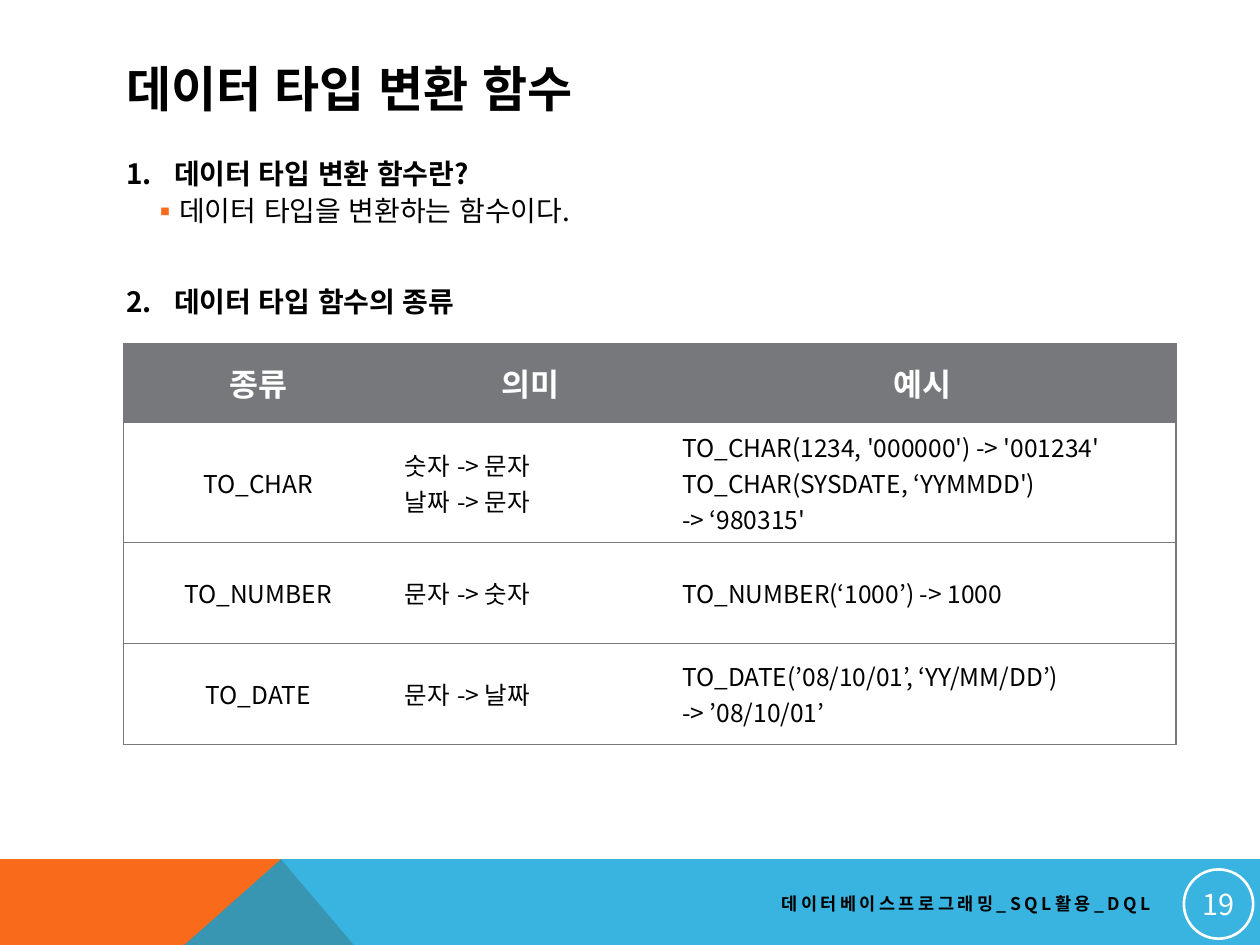
"""Build a slide about data type conversion functions."""
import dataclasses

import lxml.etree
import pptx
import pptx.dml.color
import pptx.enum.lang
import pptx.enum.shapes
import pptx.enum.text
import pptx.oxml.ns
import pptx.util

Pt = pptx.util.Pt
ALIGN = pptx.enum.text.PP_ALIGN
MIDDLE = pptx.enum.text.MSO_ANCHOR.MIDDLE


@dataclasses.dataclass(frozen=True)
class Theme:
    """Colours, font and type sizes of the slide."""
    font: str = "Noto Sans CJK KR"
    ink: str = "000000"
    paper: str = "FFFFFF"
    grey: str = "76787B"
    orange: str = "F96A1B"
    blue: str = "08A1D9"
    title: float = 28
    body: float = 16
    header: float = 18
    cell: float = 14
    footer: float = 10
    number: float = 16.5


THEME = Theme()


def rgb(code):
    """Return a colour from its hexadecimal code."""
    return pptx.dml.color.RGBColor.from_string(code)


def add_child(parent, tag, **attributes):
    """Append a drawing element to a parent and return it."""
    child = lxml.etree.SubElement(parent, pptx.oxml.ns.qn(tag))
    for name, value in attributes.items():
        child.set(name, str(value))
    return child


def write(para, text, size, color=THEME.ink, bold=False, align=ALIGN.LEFT,
          before=0, line=1.0, tracking=0):
    """Write formatted text into a paragraph."""
    para.alignment = align
    para.space_before = Pt(before)
    para.line_spacing = line
    span = para.add_run()
    span.text = text
    span.font.size = Pt(size)
    span.font.bold = bold
    span.font.name = THEME.font
    span.font.language_id = pptx.enum.lang.MSO_LANGUAGE_ID.KOREAN
    span.font.color.rgb = rgb(color)
    properties = span.font._element
    add_child(properties, "a:ea", typeface=THEME.font)
    if tracking:
        properties.set("spc", str(tracking * 100))


def add_box(page, left, top, width, height, anchor=MIDDLE):
    """Add a wrapping text box and return its text frame."""
    box = page.shapes.add_textbox(Pt(left), Pt(top), Pt(width), Pt(height))
    frame = box.text_frame
    frame.word_wrap = True
    frame.vertical_anchor = anchor
    return frame


def add_title(page, left, top, width, height):
    """Place the slide title."""
    frame = add_box(page, left, top, width, height)
    write(frame.paragraphs[0], "데이터 타입 변환 함수", THEME.title, bold=True)


def set_bullet(para, margin, hang, number=None):
    """Give a paragraph a number or a square bullet."""
    properties = para._p.get_or_add_pPr()
    properties.set("marL", str(Pt(margin)))
    properties.set("indent", str(-Pt(hang)))
    if number:
        add_child(properties, "a:buFont", typeface="+mj-lt")
        add_child(properties, "a:buAutoNum", type="arabicPeriod", startAt=number)
    else:
        color = add_child(properties, "a:buClr")
        add_child(color, "a:srgbClr", val=THEME.orange)
        add_child(properties, "a:buFont", typeface=THEME.font)
        add_child(properties, "a:buChar", char="▪")


def add_outline(page, left, top, width, height):
    """Place the numbered headings and their explanation."""
    frame = add_box(page, left, top, width, height, pptx.enum.text.MSO_ANCHOR.TOP)
    frame.margin_top = Pt(5)
    lines = [("데이터 타입 변환 함수란?", 1, 0),
             ("데이터 타입을 변환하는 함수이다.", None, 4),
             ("데이터 타입 함수의 종류", 2, 35)]
    for index, (text, number, before) in enumerate(lines):
        para = frame.add_paragraph() if index else frame.paragraphs[0]
        write(para, text, THEME.body, bold=bool(number), before=before, line=0.9)
        set_bullet(para, 27.4, 27.4 if number else 13, number)


def set_borders(cell, sides):
    """Draw grey lines on the given sides of a cell."""
    properties = cell._tc.get_or_add_tcPr()
    for side in "LRTB":
        line = add_child(properties, f"a:ln{side}", w=Pt(0.75))
        if side in sides:
            fill = add_child(line, "a:solidFill")
            add_child(fill, "a:srgbClr", val=THEME.grey)
        else:
            add_child(line, "a:noFill")


def add_function_table(page, left, top, widths, heights):
    """Place the table of conversion functions."""
    rows = [("종류", "의미", "예시"),
            ("TO_CHAR", "숫자 -> 문자\n날짜 -> 문자",
             "TO_CHAR(1234, '000000') -> '001234'\n"
             "TO_CHAR(SYSDATE, ‘YYMMDD') \n-> ‘980315'"),
            ("TO_NUMBER", "문자 -> 숫자", "TO_NUMBER(‘1000’) -> 1000"),
            ("TO_DATE", "문자 -> 날짜",
             "TO_DATE(’08/10/01’, ‘YY/MM/DD’) \n-> ’08/10/01’")]
    frame = page.shapes.add_table(len(rows), len(widths), Pt(left), Pt(top),
                                  Pt(sum(widths)), Pt(sum(heights)))
    table = frame.table
    table.horz_banding = False
    for column, width in zip(table.columns, widths):
        column.width = Pt(width)
    for row, height in zip(table.rows, heights):
        row.height = Pt(height)
    last = len(widths) - 1
    for row_index, texts in enumerate(rows):
        header = row_index == 0
        for column_index, text in enumerate(texts):
            cell = table.cell(row_index, column_index)
            cell.vertical_anchor = MIDDLE
            set_borders(cell, "TB" + {0: "L", last: "R"}.get(column_index, ""))
            cell.fill.solid()
            cell.fill.fore_color.rgb = rgb(THEME.grey if header else THEME.paper)
            centred = header or column_index == 0
            for index, line in enumerate(text.split("\n")):
                content = cell.text_frame
                para = content.add_paragraph() if index else content.paragraphs[0]
                write(para, line, THEME.header if header else THEME.cell,
                      color=THEME.paper if header else THEME.ink, bold=header,
                      align=ALIGN.CENTER if centred else ALIGN.LEFT)


def add_polygon(page, points, color, opacity=100):
    """Draw a filled polygon without an outline."""
    builder = page.shapes.build_freeform(Pt(points[0][0]), Pt(points[0][1]))
    builder.add_line_segments([(Pt(x), Pt(y)) for x, y in points[1:]], close=True)
    shape = builder.convert_to_shape()
    shape.shadow.inherit = False
    shape.line.fill.background()
    shape.fill.solid()
    shape.fill.fore_color.rgb = rgb(color)
    if opacity < 100:
        code = shape.fill._xPr.find(".//" + pptx.oxml.ns.qn("a:srgbClr"))
        add_child(code, "a:alpha", val=opacity * 1000)


def add_footer(page, left, top, width, height):
    """Place the coloured band, the course name and the page number."""
    right, bottom, peak = left + width, top + height, left + 160.6
    add_polygon(page, [(left, top), (peak, top), (peak + 121, bottom),
                       (left, bottom)], THEME.orange)
    add_polygon(page, [(left, bottom), (peak, top), (right, top),
                       (right, bottom)], THEME.blue, opacity=80)
    frame = add_box(page, right - 427.7, top + 14.4, 372.3, 21.6)
    write(frame.paragraphs[0], "데이터베이스프로그래밍_SQL활용_DQL", THEME.footer,
          bold=True, align=ALIGN.RIGHT, tracking=2)
    circle = page.shapes.add_shape(pptx.enum.shapes.MSO_SHAPE.OVAL, Pt(right - 43.5),
                                   Pt(top + 5.8), Pt(39.6), Pt(39.6))
    circle.shadow.inherit = False
    circle.fill.background()
    circle.line.color.rgb = rgb(THEME.paper)
    circle.line.width = Pt(1.5)
    frame = circle.text_frame
    frame.vertical_anchor = MIDDLE
    frame.margin_left = frame.margin_right = Pt(0.7)
    frame.margin_top = frame.margin_bottom = Pt(0.7)
    write(frame.paragraphs[0], "19", THEME.number, color=THEME.paper, align=ALIGN.CENTER)


deck = pptx.Presentation()
deck.slide_width, deck.slide_height = Pt(720), Pt(540)
slide = deck.slides.add_slide(deck.slide_layouts[6])
add_footer(slide, 0, 491, 720, 142.6)
add_title(slide, 65, 28.8, 592, 43.2)
add_outline(slide, 65, 86.4, 592, 109.4)
add_function_table(slide, 70.8, 196.2, [153.4, 158.4, 289.4], [45.4, 68.6, 57.6, 57.6])
deck.save("out.pptx")
